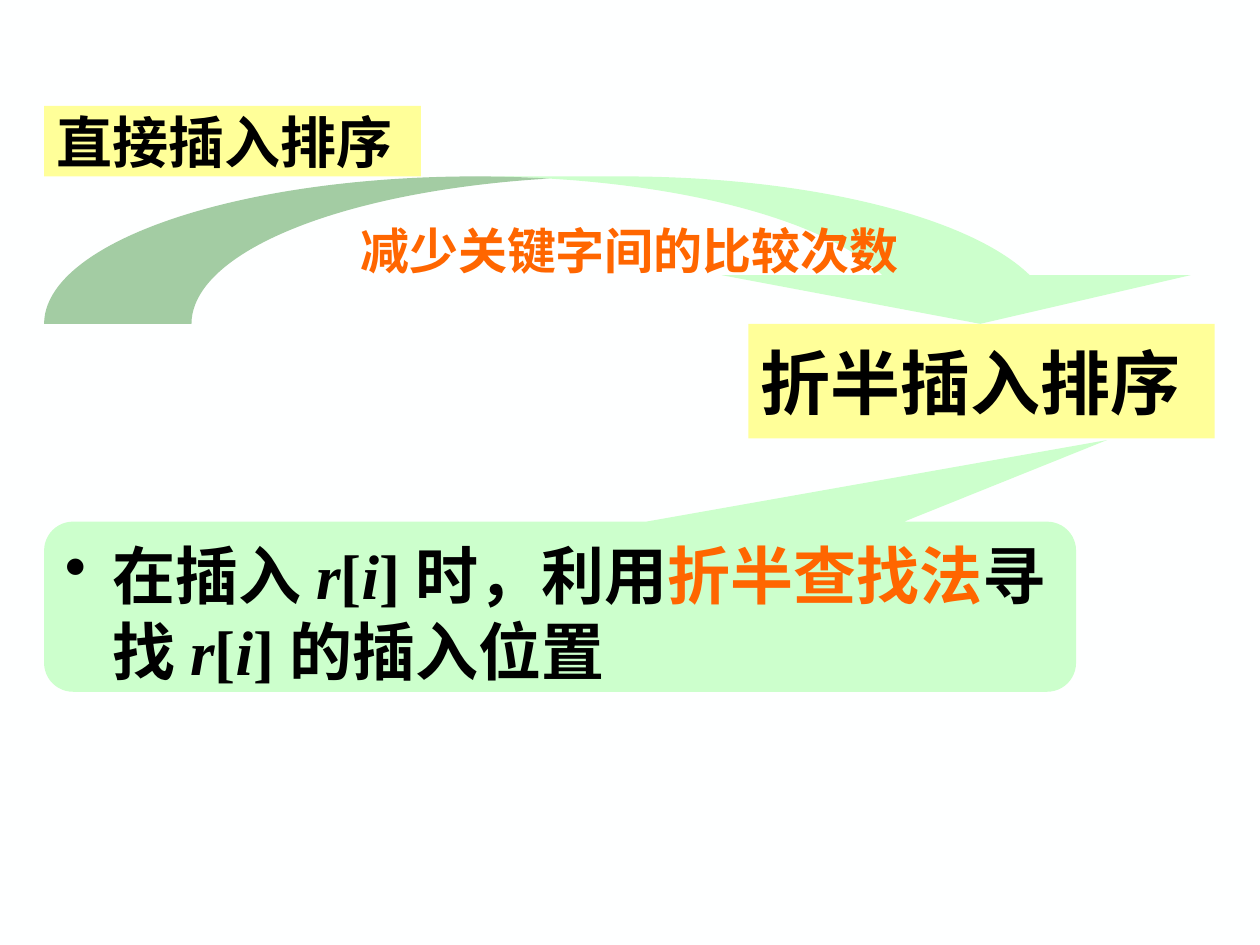
"""Build a slide leading from straight to binary insertion sort."""
from lxml import etree
from pptx import Presentation, util as u
from pptx.dml import color
from pptx.enum import shapes, text
from pptx.oxml import ns

WIDE, HIGH = 10, 7.5
LEFT = 3.5
NOTO, TIMES = "Noto Sans CJK SC", "Times New Roman"
BLACK, ORANGE, GREEN, YELLOW = "000000", "FF6600", "CCFFCC", "FFFF99"
KIND = shapes.MSO_SHAPE


def paint(fill, tone):
    """Fill solidly with a hex colour."""
    fill.solid()
    fill.fore_color.rgb = color.RGBColor.from_string(tone)


def block(slide, kind, place, tone, bends=()):
    """Add a flat shape placed in percent of the slide's size."""
    sides = (WIDE, HIGH, WIDE, HIGH)
    spots = [u.Inches(part * side / 100) for part, side in zip(place, sides)]
    shape = slide.shapes.add_shape(kind, *spots)
    shape.shadow.inherit = False
    shape.line.fill.background()
    paint(shape.fill, tone)
    for spot, bend in enumerate(bends):
        shape.adjustments[spot] = bend
    return shape


def bullet(para, inset):
    """Give a paragraph a round bullet with a hanging indent."""
    props = para._p.get_or_add_pPr()
    props.set("marL", str(u.Inches(inset)))
    props.set("indent", str(-u.Inches(inset)))
    etree.SubElement(props, ns.qn("a:buChar")).set("char", "•")


def write(para, runs, size, face):
    """Write runs of wording, colour and slant into a paragraph."""
    para.font.size, para.font.name, para.font.bold = u.Pt(size), face, True
    for words, tone, slant in runs:
        run = para.add_run()
        run.text = words
        paint(run.font.fill, tone)
        run.font.italic = slant
        props = run._r.get_or_add_rPr()
        etree.SubElement(props, ns.qn("a:ea")).set("typeface", NOTO)


def label(shape, runs, size, face=NOTO, align="LEFT", anchor="MIDDLE", wrap=True):
    """Put one paragraph into a shape and return it."""
    frame = shape.text_frame
    frame.word_wrap = wrap
    frame.vertical_anchor = text.MSO_ANCHOR[anchor]
    para = frame.paragraphs[0]
    para.alignment = text.PP_ALIGN[align]
    write(para, runs, size, face)
    return para


def index():
    """Return the runs that show r[i]."""
    return [("r", BLACK, True), ("[", BLACK, False),
            ("i", BLACK, True), ("]", BLACK, False)]


def main():
    """Build and save the slide."""
    deck = Presentation()
    deck.slide_width, deck.slide_height = u.Inches(WIDE), u.Inches(HIGH)
    slide = deck.slides.add_slide(deck.slide_layouts[6])
    paint(slide.background.fill, "FEFFFF")

    goal = block(slide, KIND.RECTANGLE, (59.4, 34.27, 37, 12.13), YELLOW)
    label(goal, [("折半插入排序", BLACK, False)], 40)
    start = block(slide, KIND.RECTANGLE, (LEFT, 11.2, 29.9, 7.47), YELLOW)
    label(start, [("直接插入排序", BLACK, False)], 32)

    arrow = block(slide, KIND.CURVED_DOWN_ARROW, (LEFT, 18.67, 92.9, 15.6),
                  GREEN, (1.15, 3.18, 0.33))
    label(arrow, [("减少关键字间的比较次数", ORANGE, False)], 28, TIMES,
          "CENTER", wrap=False)

    note = block(slide, KIND.ROUNDED_RECTANGULAR_CALLOUT, (LEFT, 55.2, 81.9, 18),
                 GREEN, (0.53, -0.98, 0.17))
    runs = [("在插入 ", BLACK, False), *index(), (" 时，利用", BLACK, False),
            ("折半查找法", ORANGE, False), ("寻找 ", BLACK, False), *index(),
            (" 的插入位置", BLACK, False)]
    para = note.text_frame.paragraphs[0]
    para.line_spacing = u.Pt(43.4)
    bullet(para, 0.38)
    label(note, runs, 36, TIMES, anchor="TOP")

    deck.save("out.pptx")


if __name__ == "__main__":
    main()
